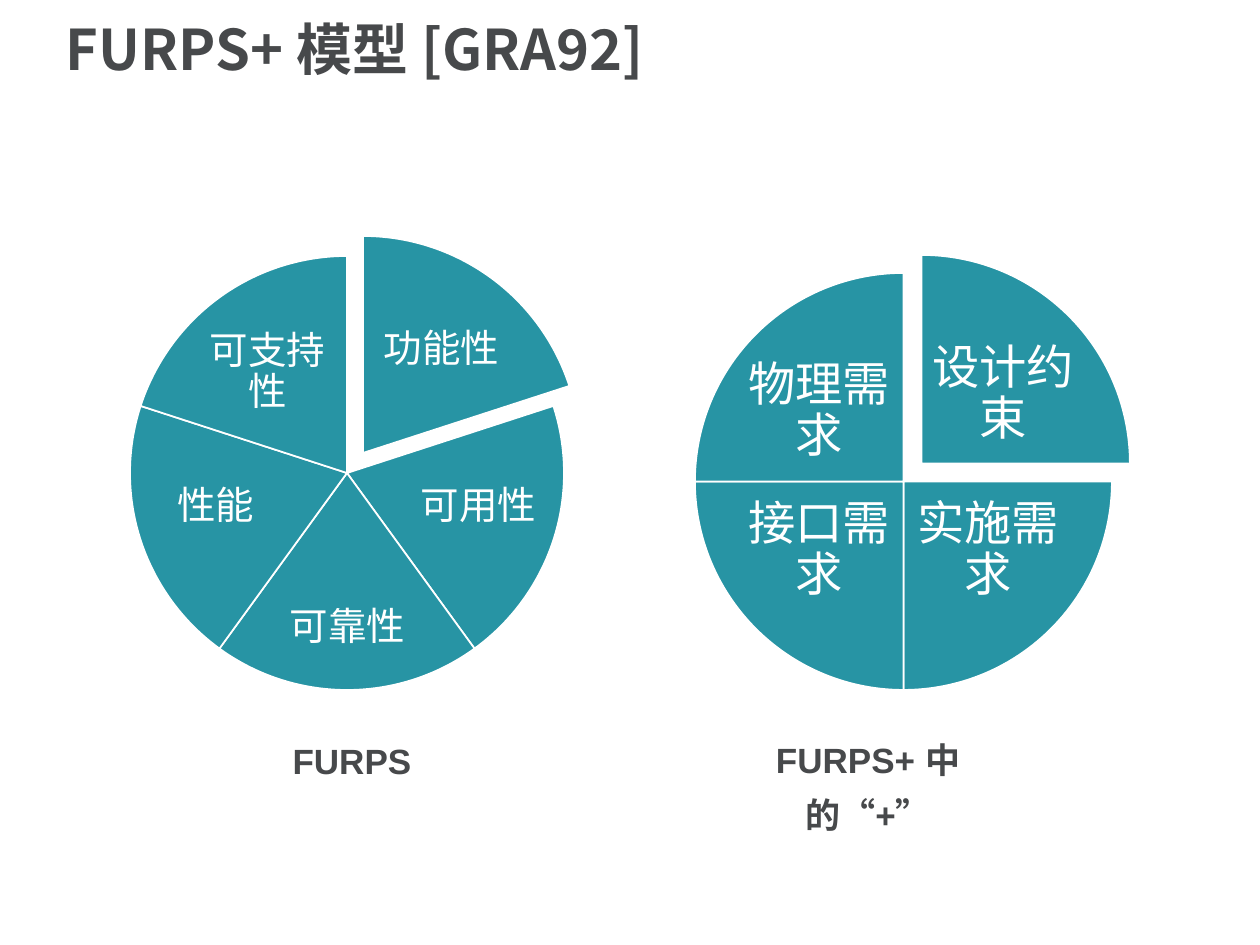
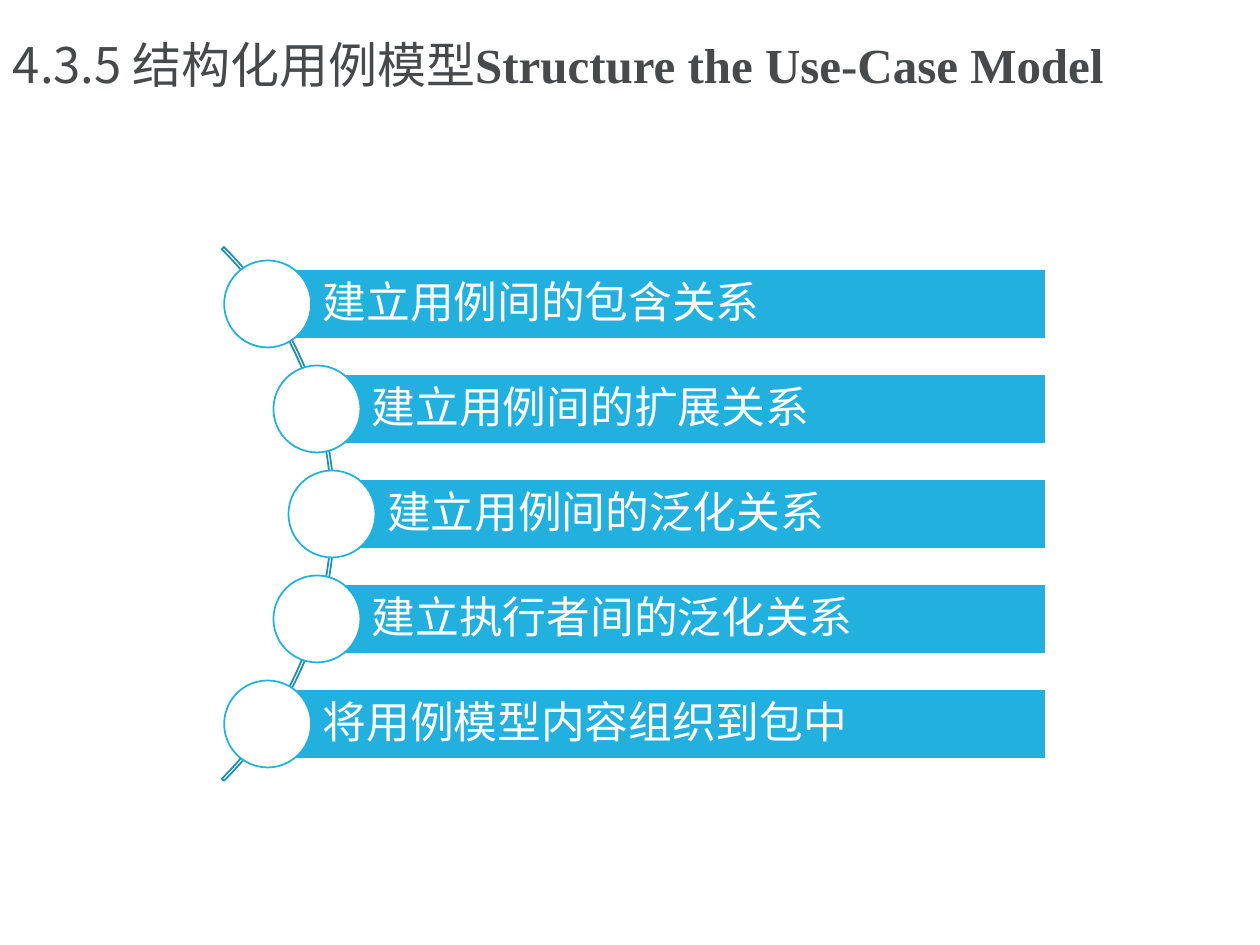
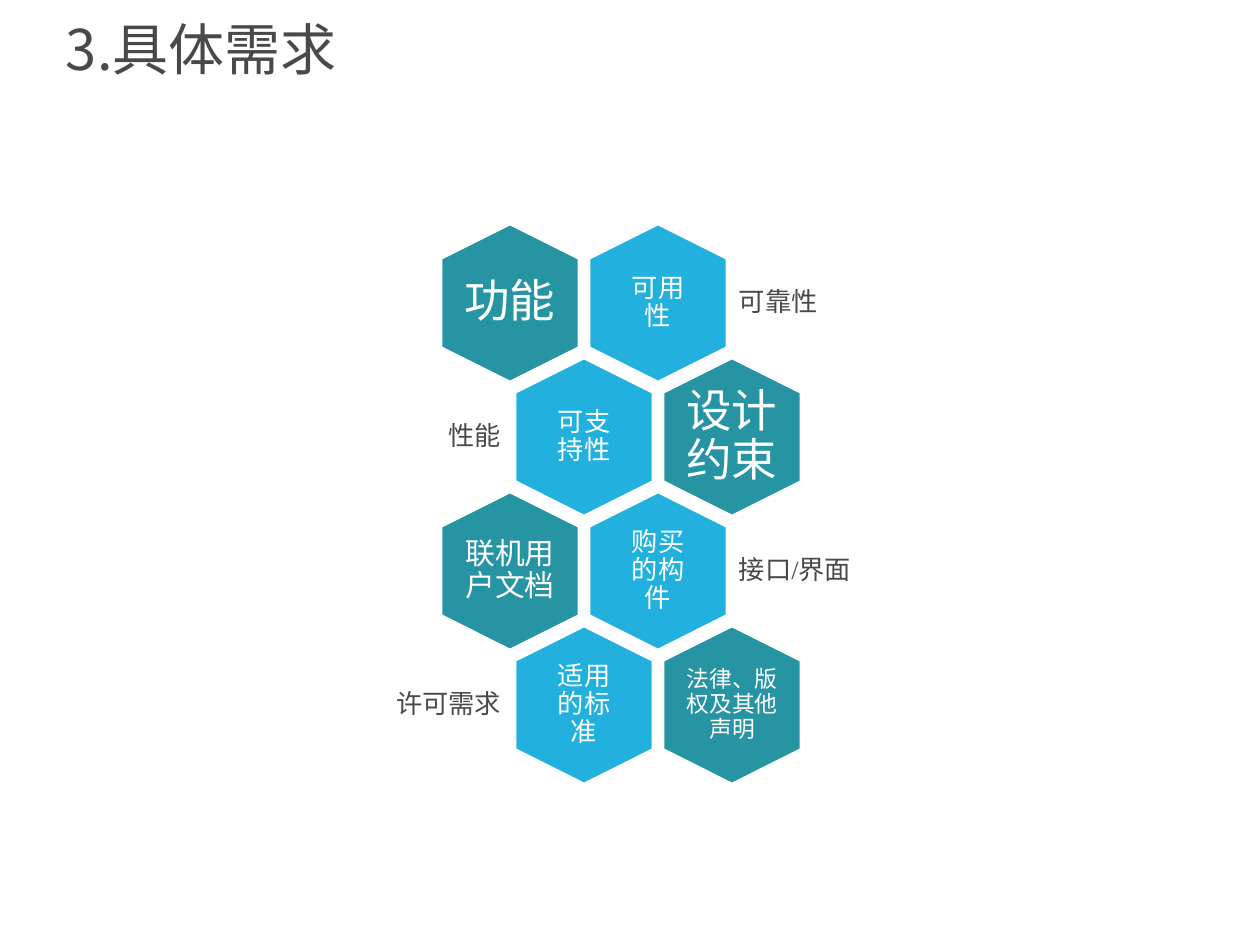
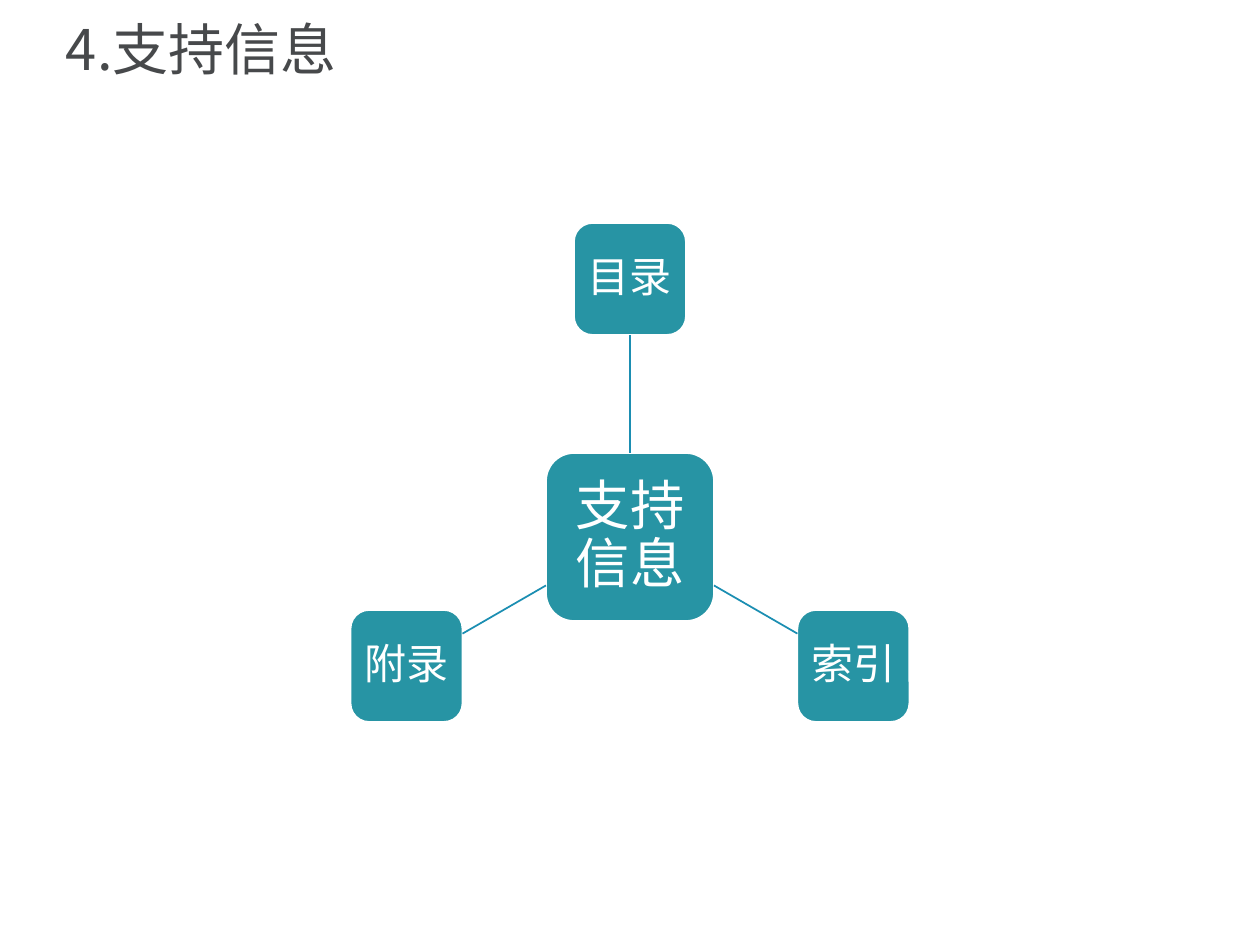
import math

import pptx
import pptx.util
from lxml import etree
from pptx.dml.color import RGBColor
from pptx.enum.shapes import MSO_CONNECTOR, MSO_SHAPE
from pptx.enum.text import MSO_ANCHOR, MSO_AUTO_SIZE, PP_ALIGN
from pptx.oxml.ns import qn

# Shared style
TEAL = RGBColor(0x27, 0x94, 0xA4)
SKY = RGBColor(0x22, 0xB1, 0xDE)
LINK = RGBColor(0x1B, 0x8E, 0xB2)
INK = RGBColor(0x47, 0x49, 0x4B)
WHITE = RGBColor(0xFF, 0xFF, 0xFF)
CJK, SERIF, SANS, BODY = "Noto Sans CJK SC", "Times New Roman", "Arial", "Calibri"
LEFT, CENTER, RIGHT = PP_ALIGN.LEFT, PP_ALIGN.CENTER, PP_ALIGN.RIGHT
PX_PER_INCH = 126
TITLE_BOX = (53, 8, 1140, 88)
DEFAULT_INSETS = (13, 6, 13, 6)

# Slide 1: slices run clockwise from the top, the first one is pulled out
PIES = [
    dict(box=(130, 256, 434), pull=(16, -20), size=22, inset=4, labels=[
        ("功能性", (368, 300, 147, 101)),
        ("可用性", (414, 453, 129, 108)),
        ("可靠性", (270, 582, 155, 93)),
        ("性能", (151, 453, 129, 108)),
        ("可支持性", (194, 322, 147, 101)),
    ]),
    dict(box=(695, 273, 417), pull=(18, -18), size=27, inset=5, labels=[
        ("设计约束", (926, 333, 154, 123)),
        ("实施需求", (911, 489, 154, 123)),
        ("接口需求", (742, 489, 154, 123)),
        ("物理需求", (742, 350, 154, 123)),
    ]),
]
CAPTIONS = [
    ("FURPS+ 中的“+”", (759, 720, 320, 63), (0, 6, 102, 6)),
    ("FURPS", (193, 721, 318, 106), DEFAULT_INSETS),
]

# Slide 2
STEPS = ["建立用例间的包含关系", "建立用例间的扩展关系", "建立用例间的泛化关系",
         "建立执行者间的泛化关系", "将用例模型内容组织到包中"]

# Slide 3: per row, two hexagons (text, colour, size) and a side label
HEX_ROWS = [
    (("功能", TEAL, 26), ("可用性", SKY, 15), "可靠性"),
    (("可支持性", SKY, 15), ("设计约束", TEAL, 26), "性能"),
    (("联机用户文档", TEAL, 17), ("购买的构件", SKY, 15), "接口/界面"),
    (("适用的标准", SKY, 15), ("法律、版权及其他声明", TEAL, 13), "许可需求"),
]

# Slide 4: hub and its satellites (text, angle in degrees)
HUB = "支持信息"
SATELLITES = [("目录", -90), ("索引", 30), ("附录", 150)]


def px(n):
    return pptx.util.Emu(round(n * 914400 / PX_PER_INCH))


def centred(cx, cy, w, h):
    return cx - w / 2, cy - h / 2, w, h


def style_run(r, size, font, color, bold=False):
    r.font.size, r.font.name, r.font.bold = pptx.util.Pt(size), font, bold
    r.font.color.rgb = color
    ea = etree.SubElement(r.font._element, qn("a:ea"))
    ea.set("typeface", CJK)


def write(sp, text, size, font, color=WHITE, align=CENTER, insets=(0, 0, 0, 0),
          bold=False, anchor=MSO_ANCHOR.MIDDLE, spacing=0.9, after=0.35):
    tf = sp.text_frame
    tf.text = text
    tf.word_wrap, tf.auto_size, tf.vertical_anchor = True, MSO_AUTO_SIZE.NONE, anchor
    tf.margin_left, tf.margin_top, tf.margin_right, tf.margin_bottom = map(px, insets)
    p = tf.paragraphs[0]
    p.alignment, p.line_spacing = align, spacing
    p.space_before, p.space_after = pptx.util.Pt(0), pptx.util.Pt(round(size * after))
    style_run(p.runs[0], size, font, color, bold)
    return p


def add_text(s, box, *args, **kwargs):
    return write(s.shapes.add_textbox(*map(px, box)), *args, **kwargs)


def add_shape(s, kind, box, fill, line=WHITE, adjustments=()):
    sp = s.shapes.add_shape(kind, *map(px, box))
    sp.shadow.inherit = False
    if fill is None:
        sp.fill.background()
    else:
        sp.fill.solid()
        sp.fill.fore_color.rgb = fill
    sp.line.color.rgb, sp.line.width = line, pptx.util.Pt(1)
    for i, value in enumerate(adjustments):
        sp.adjustments[i] = value
    return sp


def angle(degrees):
    """Preset-shape angle as a python-pptx adjustment value."""
    return degrees % 360 * 0.6


def add_slide(prs, title, box=TITLE_BOX, size=32, bold=False):
    s = prs.slides.add_slide(prs.slide_layouts[5])
    sp = s.shapes.title
    sp.left, sp.top, sp.width, sp.height = map(px, box)
    p = write(sp, title, size, CJK, INK, LEFT, DEFAULT_INSETS, bold, after=0)
    return s, p


def furps_slide(prs):
    s, _ = add_slide(prs, "FURPS+ 模型 [GRA92]", bold=True)
    for pie in PIES:
        x, y, d = pie["box"]
        sweep = 360 / len(pie["labels"])
        for i, (text, label_box) in enumerate(pie["labels"]):
            dx, dy = pie["pull"] if i == 0 else (0, 0)
            start = i * sweep - 90
            add_shape(s, MSO_SHAPE.PIE, (x + dx, y + dy, d, d), TEAL,
                      adjustments=(angle(start), angle(start + sweep)))
            add_text(s, label_box, text, pie["size"], BODY, insets=[pie["inset"]] * 4)
    for text, box, insets in CAPTIONS:
        add_text(s, box, text, 20, SANS, INK, insets=insets, bold=True,
                 anchor=MSO_ANCHOR.TOP, spacing=1.3, after=0)


def steps_slide(prs):
    s, p = add_slide(prs, "4.3.5 结构化用例模型", (0, 20, 1226, 96), 28)
    r = p.add_run()
    r.text = "Structure the Use-Case Model"
    style_run(r, 28, SERIF, INK, True)
    p.space_after = pptx.util.Pt(13)

    arc_x, arc_y, arc_d, bead_radius = -43, 514, 755, 375
    bar_right, bar_h, bead_d, step = 1046, 70, 87, 105
    add_shape(s, MSO_SHAPE.BLOCK_ARC, centred(arc_x, arc_y, arc_d, arc_d), None, LINK,
              (angle(-45), angle(45), 0.004))
    for i, text in enumerate(STEPS):
        dy = (i - (len(STEPS) - 1) / 2) * step
        x, y = arc_x + math.sqrt(bead_radius ** 2 - dy ** 2), arc_y + dy
        bar = add_shape(s, MSO_SHAPE.RECTANGLE, (x, y - bar_h / 2, bar_right - x, bar_h), SKY)
        write(bar, text, 25, CJK, align=LEFT, insets=(55, 9, 9, 9))
        add_shape(s, MSO_SHAPE.OVAL, centred(x, y, bead_d, bead_d), WHITE, SKY)


def hexagon_slide(prs):
    s, _ = add_slide(prs, "3.具体需求")
    x0, y0, dx, dy = 510, 303, 148, 134
    for row, (*cells, side) in enumerate(HEX_ROWS):
        shifted, y = row % 2, y0 + row * dy
        for col, (text, fill, size) in enumerate(cells):
            x = x0 + col * dx + shifted * dx / 2
            sp = add_shape(s, MSO_SHAPE.HEXAGON, centred(x, y, 157, 137), fill)
            sp.rotation = 90
            inset = 9 if fill == SKY else 0
            add_text(s, centred(x, y, 95, 108), text, size, SERIF, insets=[inset] * 4)
        side_x, side_w, align = (339, 170, RIGHT) if shifted else (731, 176, LEFT)
        add_text(s, (side_x, y - 47, side_w, 94), side, 15, SERIF, INK, align, [8] * 4)


def hub_slide(prs):
    s, _ = add_slide(prs, "4.支持信息")
    cx, cy, radius, hub_d, sat_d = 630, 537, 258, 168, 112
    hub = add_shape(s, MSO_SHAPE.ROUNDED_RECTANGLE, centred(cx, cy, hub_d, hub_d), TEAL)
    write(hub, HUB, 31, BODY, insets=[11] * 4)
    for text, degrees in SATELLITES:
        ux, uy = math.cos(math.radians(degrees)), math.sin(math.radians(degrees))
        box = centred(cx + radius * ux, cy + radius * uy, sat_d, sat_d)
        sat = add_shape(s, MSO_SHAPE.ROUNDED_RECTANGLE, box, TEAL)
        write(sat, text, 24, BODY, insets=[7] * 4)
        # The link spans the gap between both boxes along the ray
        reach = max(abs(ux), abs(uy))
        near, far = hub_d / 2 / reach, radius - sat_d / 2 / reach
        link = s.shapes.add_connector(
            MSO_CONNECTOR.STRAIGHT, px(cx + near * ux), px(cy + near * uy),
            px(cx + far * ux), px(cy + far * uy))
        link.line.color.rgb, link.line.width = LINK, pptx.util.Pt(1)
        etree.SubElement(link._element.spPr, qn("a:effectLst"))
        if degrees == -90:
            link.begin_connect(hub, 0)
            link.end_connect(sat, 2)


def main():
    prs = pptx.Presentation()
    prs.slide_width, prs.slide_height = px(1260), px(945)
    for build in (furps_slide, steps_slide, hexagon_slide, hub_slide):
        build(prs)
    prs.save("out.pptx")


if __name__ == "__main__":
    main()
